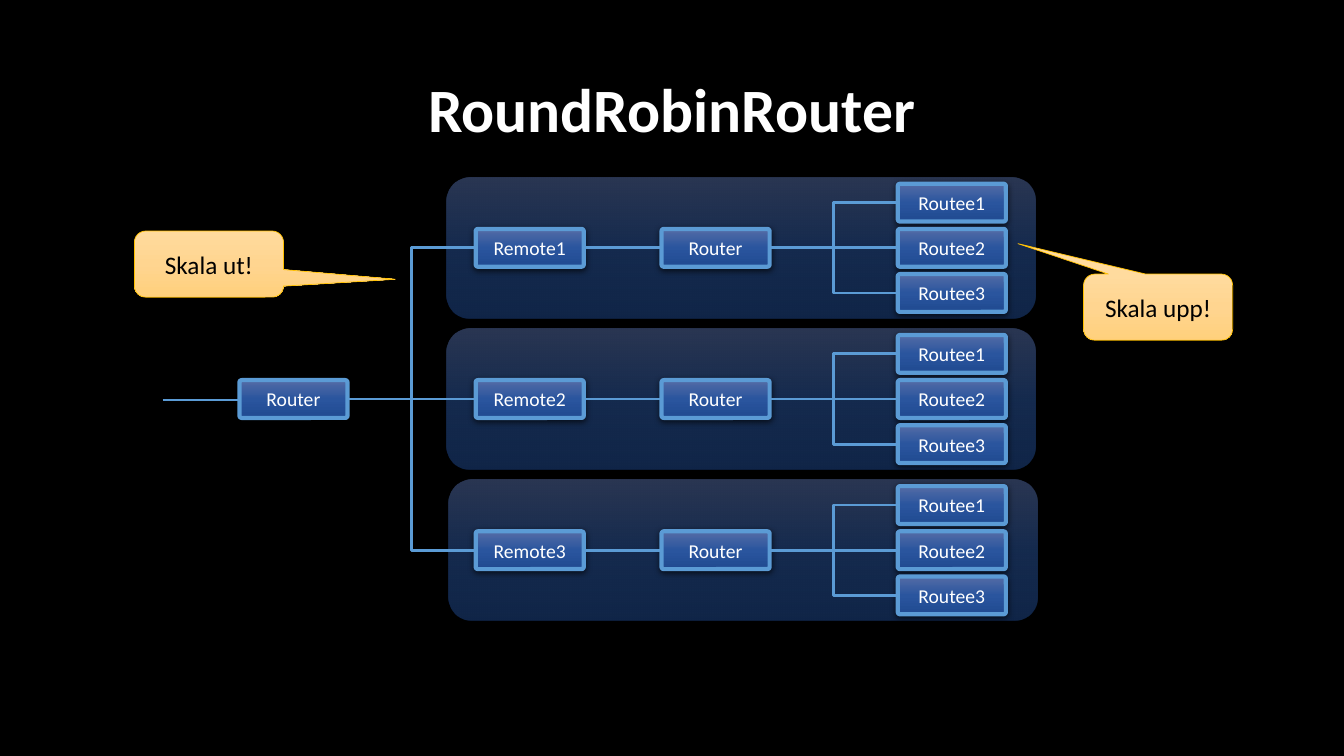
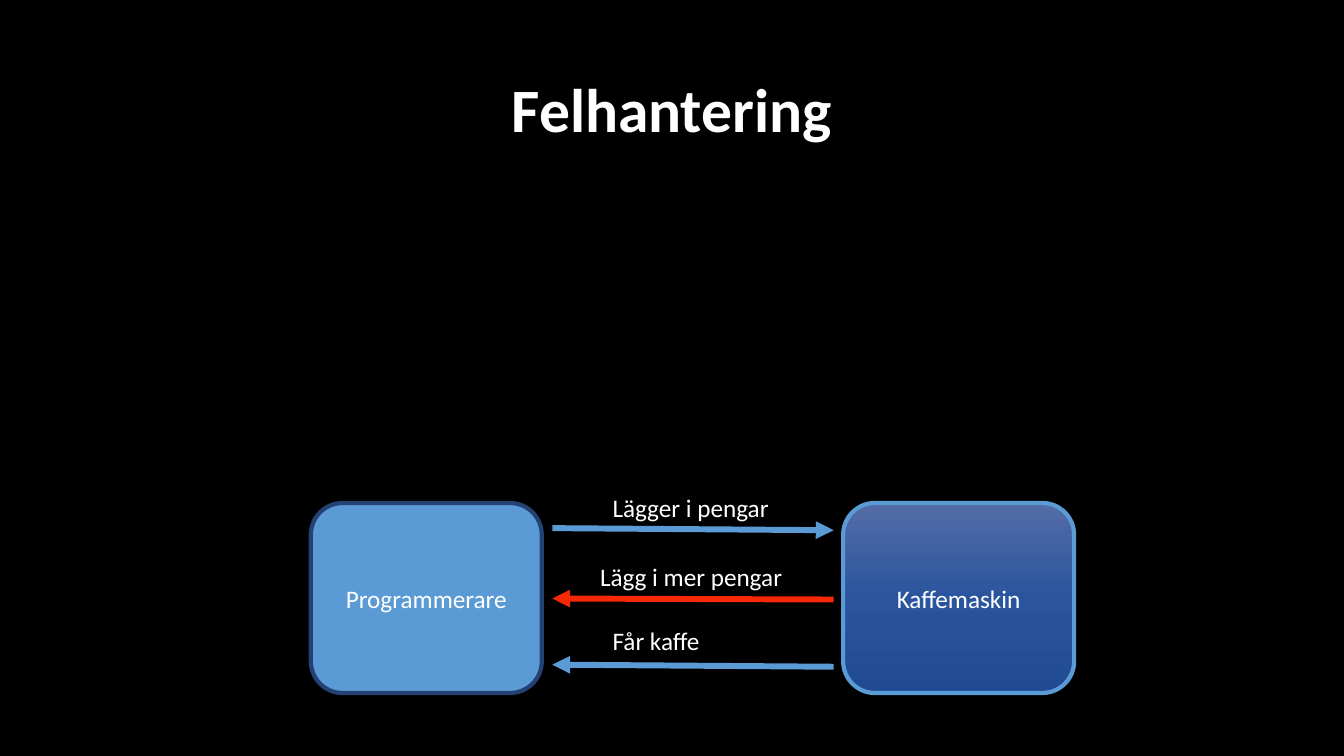
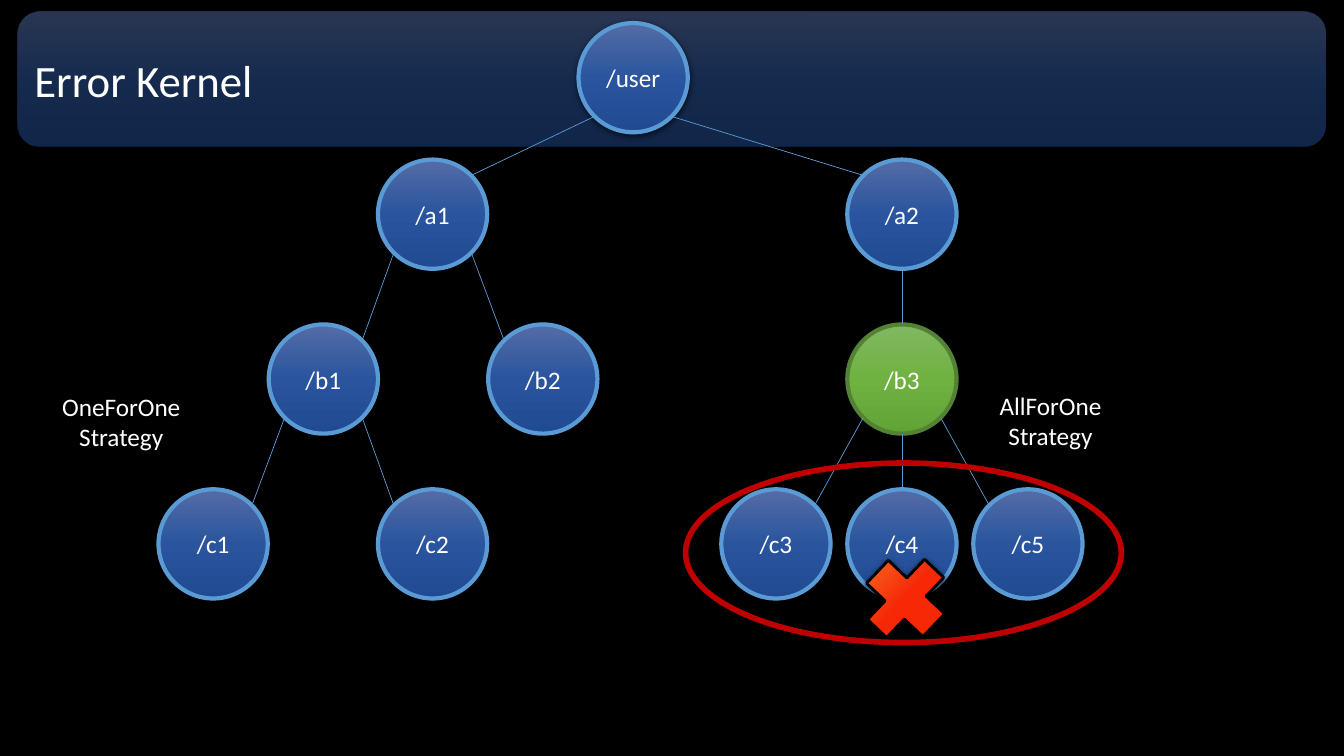
"""Build three dark slides on routers, error handling and the error kernel."""
from lxml.etree import SubElement
from pptx import Presentation
from pptx.dml.color import RGBColor
from pptx.enum.shapes import MSO_CONNECTOR, MSO_SHAPE
from pptx.enum.text import MSO_ANCHOR, PP_ALIGN
from pptx.oxml.ns import qn
from pptx.util import Pt

PX = 9525
FONT, WHITE, BLACK, SKY, RED = "Calibri", "FFFFFF", "000000", "5B9BD5", "F62806"
BLUE = ["546CA6", "2A559E", "204A91"]
NODE = {"fill": BLUE, "edge": SKY, "shade": True}
PANEL = {"fill": BLUE, "alpha": 50}
GREEN = {"fill": ["81B861", "6FB242", "62A336"], "edge": "548235"}
CALL = {"fill": ["FFDB9E", "FFD590", "FFD07C"], "edge": "FFC000", "width": 0.5, "ink": BLACK}


def put(slide, kind, at, text="", size=18, ink=WHITE, align=PP_ALIGN.CENTER, wrap=True,
        fill=None, alpha=100, edge=None, width=3, shade=False, adj=()):
    """Add a shape, or a text box when kind is None."""
    at = [n * PX for n in at]
    if kind is None:
        shape = slide.shapes.add_textbox(*at)
    else:
        shape = slide.shapes.add_shape(kind, *at)
        for i, value in enumerate(adj):
            shape.adjustments[i] = value
        if isinstance(fill, list):
            shape.fill.gradient()
            shape.fill.gradient_angle = 270
            stops = shape.element.spPr.find(qn("a:gradFill")).find(qn("a:gsLst"))
            stops.clear()
            for i, tint in enumerate(fill):
                stop = SubElement(stops, qn("a:gs"), pos=str(i * 50000))
                color = SubElement(stop, qn("a:srgbClr"), val=tint)
                if alpha < 100:
                    SubElement(color, qn("a:alpha"), val=str(alpha * 1000))
        elif fill:
            shape.fill.solid()
            shape.fill.fore_color.rgb = RGBColor.from_string(fill)
        else:
            shape.fill.background()
        if edge:
            shape.line.color.rgb = RGBColor.from_string(edge)
            shape.line.width = Pt(width)
        else:
            shape.line.fill.background()
        shape.shadow.inherit = False
        if shade:
            effects = shape.element.spPr.find(qn("a:effectLst"))
            shadow = SubElement(effects, qn("a:outerShdw"), blurRad="57150", dist="19050",
                                dir="5400000", algn="ctr", rotWithShape="0")
            color = SubElement(shadow, qn("a:srgbClr"), val=BLACK)
            SubElement(color, qn("a:alpha"), val="63000")
    if text:
        frame = shape.text_frame
        frame.word_wrap = wrap
        frame.vertical_anchor = MSO_ANCHOR.MIDDLE if wrap else MSO_ANCHOR.TOP
        frame.text = text
        for para in frame.paragraphs:
            para.alignment = align
            para.font.name, para.font.size = FONT, Pt(size)
            para.font.color.rgb = RGBColor.from_string(ink)
    return shape


def join(slide, start, end, width=2, color=SKY, arrow=False):
    """Add a line that bends at its middle when start and end differ in both ways."""
    bent = width == 2 and start[1] != end[1]
    kind = MSO_CONNECTOR.ELBOW if bent else MSO_CONNECTOR.STRAIGHT
    line = slide.shapes.add_connector(kind, *[n * PX for n in (*start, *end)])
    line.line.color.rgb = RGBColor.from_string(color)
    line.line.width = Pt(width)
    props = line.element.spPr
    if arrow:
        SubElement(props.find(qn("a:ln")), qn("a:tailEnd"), type="triangle")
    SubElement(props, qn("a:effectLst"))


deck = Presentation()
deck.slide_width, deck.slide_height = 1280 * PX, 720 * PX
slides = []
for title in ("RoundRobinRouter", "Felhantering", ""):
    slide = deck.slides.add_slide(deck.slide_layouts[6])
    slide.background.fill.solid()
    slide.background.fill.fore_color.rgb = RGBColor.from_string(BLACK)
    slides.append(slide)
    if title:
        box = put(slide, None, (88, 38, 1104, 139), title, 44)
        para = box.text_frame.paragraphs[0]
        para.font.bold, para.line_spacing = True, 0.9
routes, faults, kernel = slides

WIDE, HIGH, MID = 103, 36, 380
ROOT, REMOTE, ROUTER, ROUTEE = 228, 453, 630, 855
boxes = [(ROOT, MID, "Router")]
lines = [((155, MID + 1), (ROOT, MID + 1))]
for row, left in enumerate((425, 425, 427)):
    y = 236 + row * 144
    put(routes, MSO_SHAPE.ROUNDED_RECTANGLE, (left, y - 67, 561, 134), **PANEL)
    boxes += [(REMOTE, y, f"Remote{row + 1}"), (ROUTER, y, "Router")]
    lines += [((ROOT + WIDE, MID), (REMOTE, y)), ((REMOTE + WIDE, y), (ROUTER, y))]
    for i in range(3):
        end = y + (i - 1) * 43
        boxes.append((ROUTEE, end, f"Routee{i + 1}"))
        lines.append(((ROUTER + WIDE, y), (ROUTEE, end)))
for x, y, name in boxes:
    put(routes, MSO_SHAPE.ROUNDED_RECTANGLE, (x, y - HIGH // 2, WIDE, HIGH), name, 14,
        adj=[0.06], **NODE)
for start, end in lines:
    join(routes, start, end)
for x, y, text, adj in ((1032, 261, "Skala upp!", (-0.94, -0.96, 0.17)),
                        (128, 220, "Skala ut!", (1.25, 0.23, 0.17))):
    put(routes, MSO_SHAPE.ROUNDED_RECTANGULAR_CALLOUT, (x, y, 142, 63), text, adj=adj, **CALL)

put(faults, MSO_SHAPE.ROUNDED_RECTANGLE, (296, 479, 220, 181), "Programmerare",
    fill=SKY, edge="234173")
put(faults, MSO_SHAPE.ROUNDED_RECTANGLE, (803, 479, 220, 181), "Kaffemaskin", **NODE)
for start, end, color, at, text in (
        ((526, 503), (794, 505), SKY, (574, 464, 170, 38), "Lägger i pengar"),
        ((794, 571), (526, 570), RED, (562, 530, 195, 38), "Lägg i mer pengar"),
        ((794, 635), (526, 633), SKY, (574, 591, 104, 38), "Får kaffe")):
    join(faults, start, end, 4.25, color, arrow=True)
    put(faults, None, at, text, align=PP_ALIGN.LEFT, wrap=False)

put(kernel, MSO_SHAPE.ROUNDED_RECTANGLE, (17, 11, 1245, 129), "Error Kernel", 32,
    align=PP_ALIGN.LEFT, **PANEL)
RAD, DIAG = 52, 37
tree = {"user": (603, 74, ""), "a1": (412, 204, "user"), "a2": (859, 204, "user"),
        "b1": (308, 361, "a1"), "b2": (517, 361, "a1"), "b3": (859, 361, "a2"),
        "c1": (203, 518, "b1"), "c2": (412, 518, "b1"), "c3": (739, 518, "b3"),
        "c4": (859, 518, "b3"), "c5": (979, 518, "b3")}
for name, (x, y, above) in tree.items():
    put(kernel, MSO_SHAPE.OVAL, (x - RAD, y - RAD, 2 * RAD, 2 * RAD), "/" + name,
        **(GREEN if name == "b3" else NODE))
    if above:
        top, base, _ = tree[above]
        side = (x > top) - (x < top)
        drop = DIAG if side else RAD
        join(kernel, (top + side * DIAG, base + drop), (x - side * DIAG, y - drop), 0.5)
for at, name in (((49, 368, 133, 68), "OneForOne"), ((942, 367, 117, 68), "AllForOne")):
    put(kernel, None, at, name + "\nStrategy", wrap=False)
cross = put(kernel, MSO_SHAPE.CROSS, (823, 533, 79, 74), fill=["F9832B", RED, RED],
            edge=BLACK, width=2, shade=True, adj=[0.33])
cross.rotation = 313.5
put(kernel, MSO_SHAPE.OVAL, (653, 441, 415, 171), edge="C00000", width=4)

deck.save("out.pptx")
